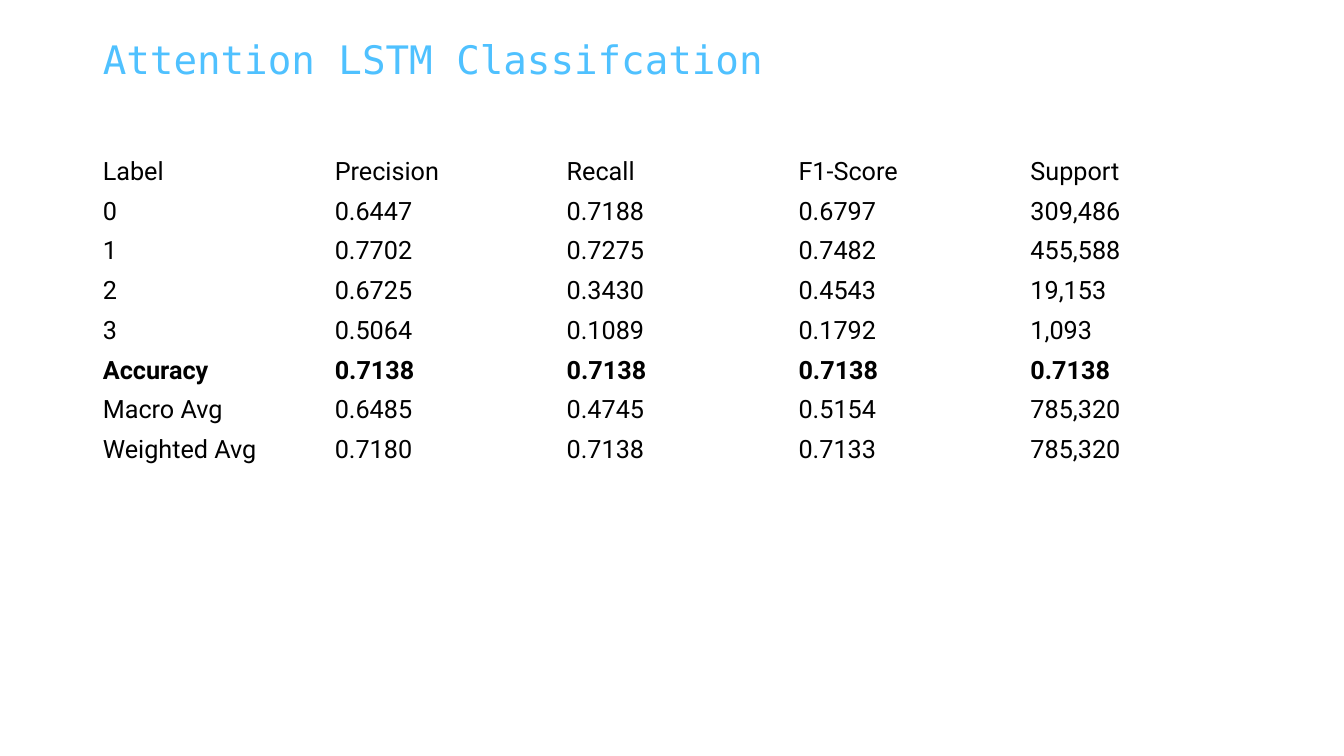
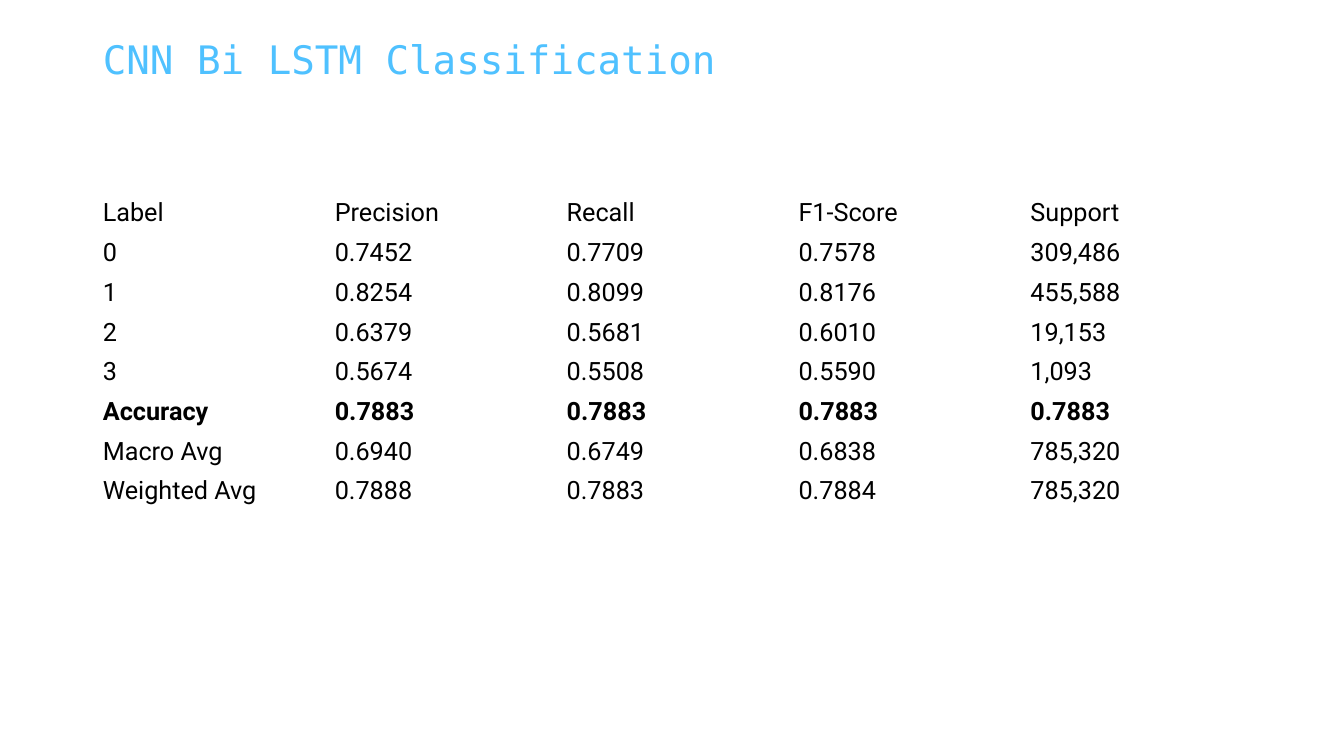
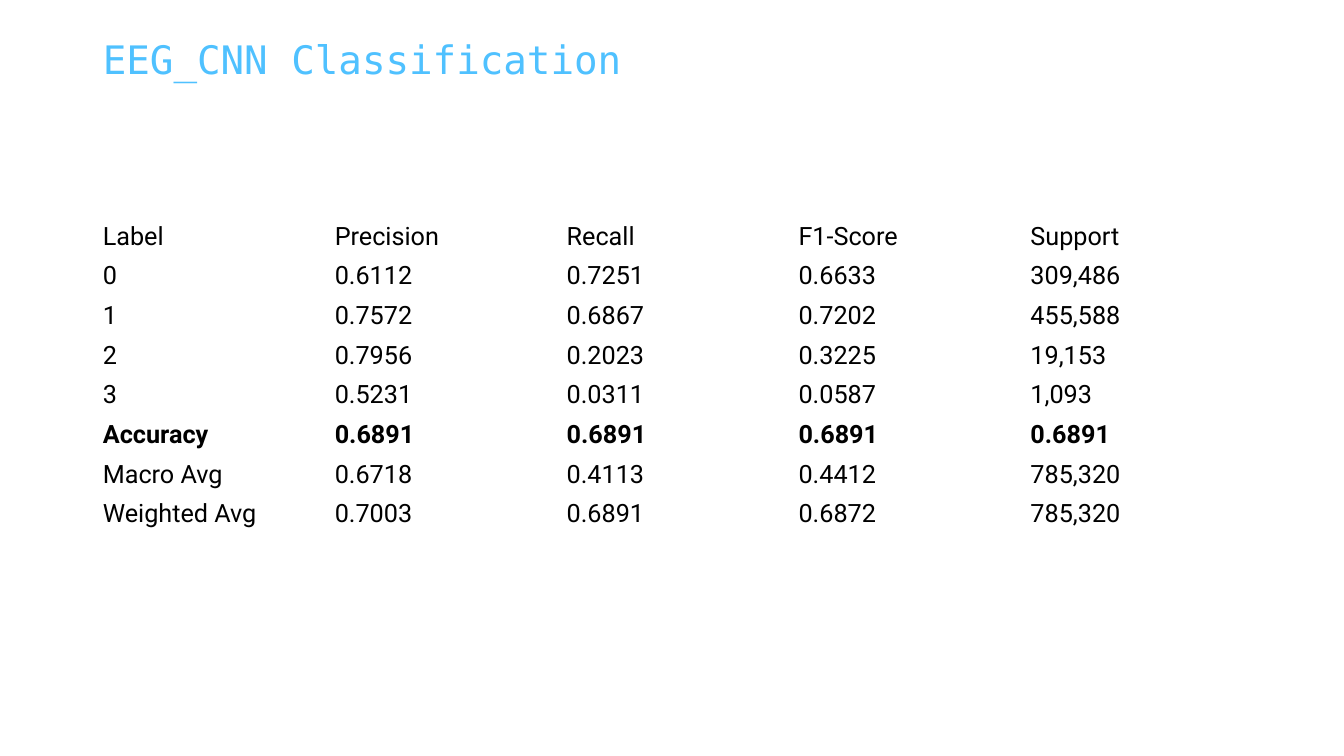
from dataclasses import dataclass

from pptx import Presentation
from pptx.dml.color import RGBColor
from pptx.enum.text import MSO_ANCHOR, MSO_AUTO_SIZE, PP_ALIGN
from pptx.util import Inches, Pt


@dataclass(frozen=True)
class Theme:
    title_color: RGBColor = RGBColor(0x4F, 0xC1, 0xFF)
    text_color: RGBColor = RGBColor(0x00, 0x00, 0x00)
    title_font: str = "DejaVu Sans Mono"
    text_font: str = "Roboto"
    title_size: Pt = Pt(28)
    text_size: Pt = Pt(18)


THEME = Theme()

# Shared geometry
LEFT, WIDTH = Inches(0.92), Inches(11.5)
ROW_HEIGHT = Inches(0.39)
TITLE_BOX = {"left": LEFT, "top": Inches(0.33), "width": WIDTH, "height": Inches(0.57)}

# Shared text formats
TITLE_FRAME = {
    "vertical_anchor": MSO_ANCHOR.MIDDLE,
    "auto_size": MSO_AUTO_SIZE.NONE,
    "word_wrap": True,
}
TITLE_PARAGRAPH = {"alignment": PP_ALIGN.LEFT, "line_spacing": 0.9}
TITLE_FONT = {"name": THEME.title_font, "size": THEME.title_size}
TEXT_FONT = {"name": THEME.text_font, "size": THEME.text_size}

# Table wording common to all models
HEADER = ["Label", "Precision", "Recall", "F1-Score", "Support"]
LABELS = ["0", "1", "2", "3", "Macro Avg", "Weighted Avg"]
SUPPORT = ["309,486", "455,588", "19,153", "1,093", "785,320", "785,320"]
ACCURACY_ROW = 5

# Title, table top, accuracy, then precision, recall and F1 for each label
MODELS = [
    ("Attention LSTM Classifcation", 1.51, "0.7138", [
        ("0.6447", "0.7188", "0.6797"),
        ("0.7702", "0.7275", "0.7482"),
        ("0.6725", "0.3430", "0.4543"),
        ("0.5064", "0.1089", "0.1792"),
        ("0.6485", "0.4745", "0.5154"),
        ("0.7180", "0.7138", "0.7133"),
    ]),
    ("CNN Bi LSTM Classification", 1.92, "0.7883", [
        ("0.7452", "0.7709", "0.7578"),
        ("0.8254", "0.8099", "0.8176"),
        ("0.6379", "0.5681", "0.6010"),
        ("0.5674", "0.5508", "0.5590"),
        ("0.6940", "0.6749", "0.6838"),
        ("0.7888", "0.7883", "0.7884"),
    ]),
    ("EEG_CNN Classification", 2.15, "0.6891", [
        ("0.6112", "0.7251", "0.6633"),
        ("0.7572", "0.6867", "0.7202"),
        ("0.7956", "0.2023", "0.3225"),
        ("0.5231", "0.0311", "0.0587"),
        ("0.6718", "0.4113", "0.4412"),
        ("0.7003", "0.6891", "0.6872"),
    ]),
]


def apply_format(target, values):
    for name, value in values.items():
        setattr(target, name, value)


presentation = Presentation()
presentation.slide_width = Inches(13.33)
presentation.slide_height = Inches(7.5)
title_only = presentation.slide_layouts.get_by_name("Title Only")

for title_text, table_top, accuracy, scores in MODELS:
    slide = presentation.slides.add_slide(title_only)

    # Title
    title = slide.shapes.title
    apply_format(title, TITLE_BOX)
    title.text_frame.text = title_text
    apply_format(title.text_frame, TITLE_FRAME)
    paragraph = title.text_frame.paragraphs[0]
    apply_format(paragraph, TITLE_PARAGRAPH)
    title_font = paragraph.runs[0].font
    apply_format(title_font, TITLE_FONT)
    title_font.color.rgb = THEME.title_color

    # Rows, with the accuracy repeated across its own row
    rows = [HEADER]
    for label, values, support in zip(LABELS, scores, SUPPORT):
        rows.append([label, *values, support])
    rows.insert(ACCURACY_ROW, ["Accuracy"] + [accuracy] * (len(HEADER) - 1))

    # Table
    table = slide.shapes.add_table(
        len(rows), len(HEADER), LEFT, Inches(table_top), WIDTH, ROW_HEIGHT * len(rows)
    ).table
    apply_format(table, {"first_row": False, "horz_banding": False})
    for row_index, row in enumerate(rows):
        for column_index, text in enumerate(row):
            cell = table.cell(row_index, column_index)
            cell.fill.background()
            cell.vertical_anchor = MSO_ANCHOR.MIDDLE
            cell.text = text
            font = cell.text_frame.paragraphs[0].runs[0].font
            apply_format(font, TEXT_FONT)
            font.bold = row_index == ACCURACY_ROW
            font.color.rgb = THEME.text_color

presentation.save("out.pptx")
